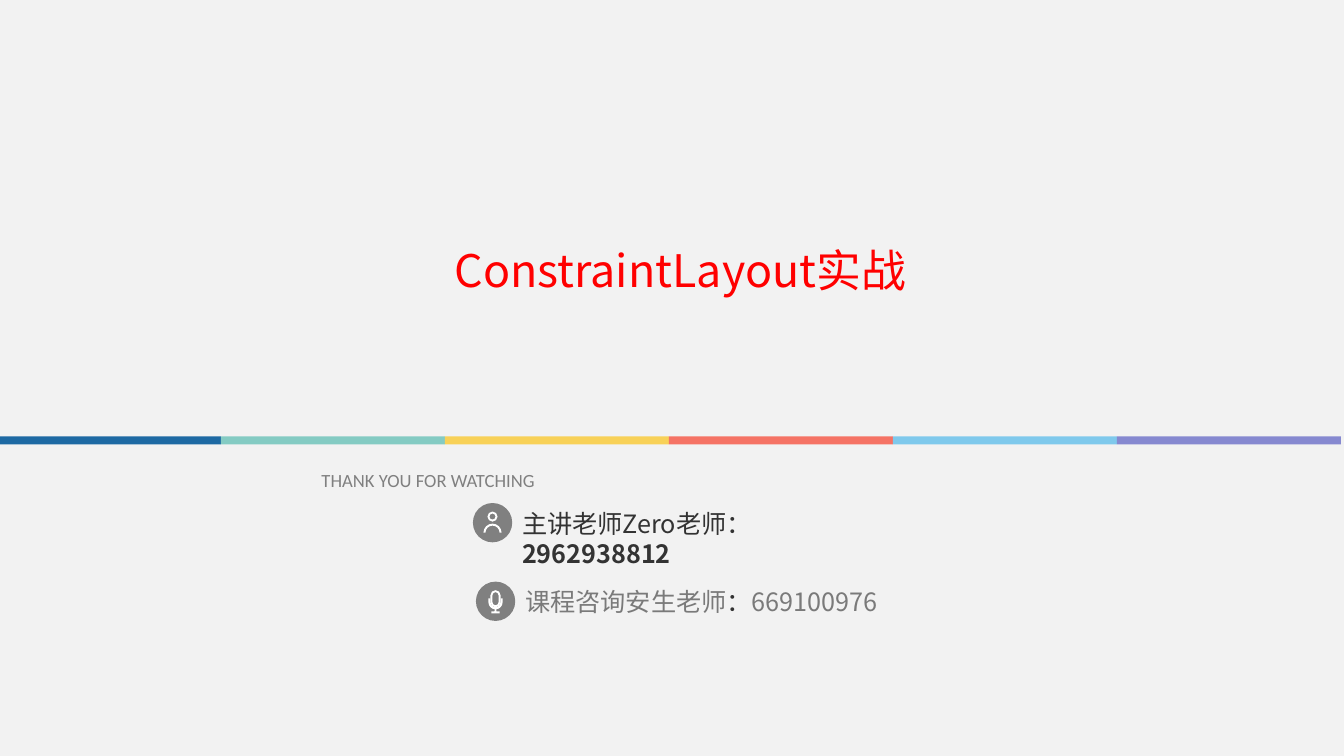
import math

import pptx
import pptx.dml.color
import pptx.enum.shapes
import pptx.enum.text
import pptx.oxml
import pptx.oxml.ns
import pptx.util

SLIDE_W, SLIDE_H = 13.33, 7.5
CJK_FONT, LATIN_FONT = "Noto Sans CJK SC", "Calibri"
COLORS = {
    "background": "F2F2F2", "title": "FF0000", "grey": "808080",
    "dark": "333333", "muted": "7A7A7A", "icon": "FFFFFF",
}
STRIPES = ["1D69A3", "84CBC3", "F8D158", "F57365", "7FC9EC", "8689D0"]
SHAPE = pptx.enum.shapes.MSO_SHAPE
ALIGN = pptx.enum.text.PP_ALIGN
GROW = pptx.enum.text.MSO_AUTO_SIZE.SHAPE_TO_FIT_TEXT
inches = pptx.util.Inches
qn = pptx.oxml.ns.qn


def rgb(value):
    return pptx.dml.color.RGBColor.from_string(value)


def paint(shape, color):
    shape.fill.solid()
    shape.fill.fore_color.rgb = rgb(color)
    shape.line.fill.background()
    shape.shadow.inherit = False


def style(run, size, font, color, bold=None):
    run.font.size = pptx.util.Pt(size)
    run.font.name = font
    run.font.bold = bold
    run.font.color.rgb = rgb(color)
    east_asian = pptx.oxml.parse_xml(
        f'<a:ea {pptx.oxml.ns.nsdecls("a")} typeface="{font}"/>')
    run.font._element.find(qn("a:latin")).addnext(east_asian)


# An outline is a list of steps; a step is [point] or [control, control, point].
def arc(cx, cy, radius, start, end):
    """Steps along an arc in quarter turns; degrees, clockwise from the right."""
    def at(angle, reach=0):
        c, s = math.cos(angle), math.sin(angle)
        return cx + radius * (c - reach * s), cy + radius * (s + reach * c)

    quarters = max(1, round(abs(end - start) / 90))
    turn = math.radians(end - start) / quarters
    reach = 4 / 3 * math.tan(turn / 4)
    steps = [[at(math.radians(start))]]
    for i in range(quarters):
        a = math.radians(start) + i * turn
        steps.append([at(a, reach), at(a + turn, -reach), at(a + turn)])
    return steps


def capsule(top, bottom, radius):
    return arc(0, top, radius, 180, 360) + arc(0, bottom, radius, 0, 180)


def person_icon():
    head = [arc(0, -0.06, radius, 0, 360) for radius in (0.05, 0.03)]
    shoulders = arc(0, 0.1, 0.09, 180, 360) + arc(0, 0.1, 0.07, 360, 180)
    return [head, [shoulders]]


def microphone_icon():
    capsules = [capsule(-0.06, 0.01, radius) for radius in (0.05, 0.03)]
    foot = [[(0.01, 0.1)], [(0.04, 0.1)], [(0.04, 0.12)],
            [(-0.04, 0.12)], [(-0.04, 0.1)], [(-0.01, 0.1)]]
    cradle = (arc(0, 0.01, 0.07, 0, 83) + foot + arc(0, 0.01, 0.07, 97, 180)
              + [[(-0.07, -0.03)], [(-0.05, -0.03)]]
              + arc(0, 0.01, 0.05, 180, 0) + [[(0.05, -0.03)], [(0.07, -0.03)]])
    return [capsules, [cradle]]


def add_outline(shapes, cx, cy, contours):
    placed = [[[(inches(cx + x), inches(cy + y)) for x, y in step]
               for step in contour] for contour in contours]
    builder = shapes.build_freeform(*placed[0][0][-1])
    for i, contour in enumerate(placed):
        if i:
            builder.move_to(*contour[0][-1])
        builder.add_line_segments([step[-1] for step in contour[1:]], close=True)
    outline = builder.convert_to_shape()
    paint(outline, COLORS["icon"])

    # Bend the segments that have control points
    segments = list(outline._element.iter(qn("a:lnTo")))
    steps = [step for contour in placed for step in contour[1:]]
    for segment, step in zip(segments, steps):
        if len(step) == 3:
            points = "".join(f'<a:pt x="{x - outline.left}" y="{y - outline.top}"/>'
                             for x, y in step)
            curve = pptx.oxml.parse_xml(
                f'<a:cubicBezTo {pptx.oxml.ns.nsdecls("a")}>{points}</a:cubicBezTo>')
            segment.getparent().replace(segment, curve)


def add_title(slide, left, top, width, height):
    title = slide.shapes.add_textbox(*map(inches, (left, top, width, height)))
    title.text_frame.word_wrap = True
    title.text_frame.auto_size = GROW
    title.text_frame.text = "ConstraintLayout实战"
    line = title.text_frame.paragraphs[0]
    line.alignment = ALIGN.CENTER
    line.line_spacing = 1.6
    style(line.runs[0], 32, CJK_FONT, COLORS["title"])


def add_stripes(slide, left, top, width, height):
    bar = slide.shapes.add_group_shape()
    step = width / len(STRIPES)
    for i, color in enumerate(STRIPES):
        stripe = bar.shapes.add_shape(
            SHAPE.RECTANGLE, inches(left + i * step), inches(top),
            inches(step), inches(height))
        paint(stripe, color)


def add_thanks(slide, left, top, width, height):
    thanks = slide.shapes.add_shape(
        SHAPE.ROUNDED_RECTANGLE, *map(inches, (left, top, width, height)))
    thanks.adjustments[0] = 0
    thanks.fill.background()
    thanks.line.fill.background()
    thanks.shadow.inherit = False
    thanks.text_frame.word_wrap = True
    thanks.text_frame.auto_size = GROW
    thanks.text_frame.vertical_anchor = pptx.enum.text.MSO_ANCHOR.MIDDLE
    thanks.text_frame.text = "THANK YOU FOR WATCHING"
    line = thanks.text_frame.paragraphs[0]
    line.alignment = ALIGN.JUSTIFY
    style(line.runs[0], 13.3, LATIN_FONT, COLORS["grey"])


def add_contact(slide, left, top, width, height, icon, pieces, wrap_margin=None):
    """Round badge with an icon, then text that wraps if given a right margin."""
    shapes = slide.shapes.add_group_shape().shapes
    size = height - 0.01
    badge = shapes.add_shape(SHAPE.OVAL, inches(left), inches(top),
                             inches(size), inches(size))
    paint(badge, COLORS["grey"])
    for contours in icon:
        add_outline(shapes, left + size / 2, top + size / 2, contours)

    label = shapes.add_textbox(inches(left + size), inches(top),
                               inches(width - size), inches(height))
    label.text_frame.word_wrap = wrap_margin is not None
    if wrap_margin is not None:
        label.text_frame.margin_right = inches(wrap_margin)
    line = label.text_frame.paragraphs[0]
    for text, color, bold in pieces:
        run = line.add_run()
        run.text = text
        style(run, 18, CJK_FONT, COLORS[color], bold)


def build_closing_slide(deck):
    slide = deck.slides.add_slide(deck.slide_layouts[6])
    slide.background.fill.solid()
    slide.background.fill.fore_color.rgb = rgb(COLORS["background"])

    add_thanks(slide, 3.09, 4.6, SLIDE_W / 2, 0.32)
    add_stripes(slide, -0.03, 4.33, SLIDE_W, 0.08)
    add_title(slide, 2.42, 2.04, 8.66, 0.86)
    # Lecturer and course adviser
    add_contact(slide, 4.69, 4.99, 4.47, 0.4, person_icon(), [
        ("主讲老师Zero老师：", "dark", None), ("2962938812", "dark", True)], 0.8)
    add_contact(slide, 4.72, 5.77, 4.16, 0.4, microphone_icon(), [
        ("课程咨询安生老师", "muted", None), ("：", "dark", None),
        ("669100976", "muted", None)])


def main():
    deck = pptx.Presentation()
    deck.slide_width, deck.slide_height = inches(SLIDE_W), inches(SLIDE_H)
    build_closing_slide(deck)
    deck.save("out.pptx")


if __name__ == "__main__":
    main()
